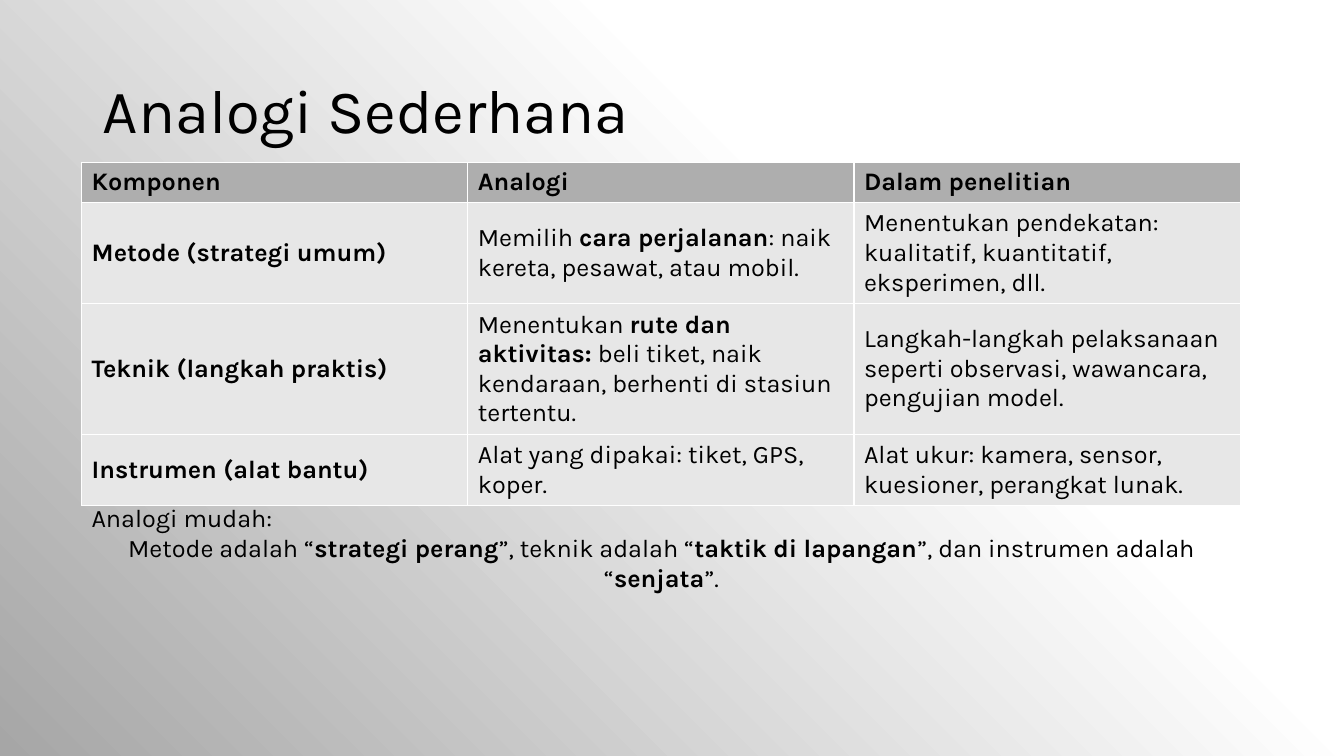
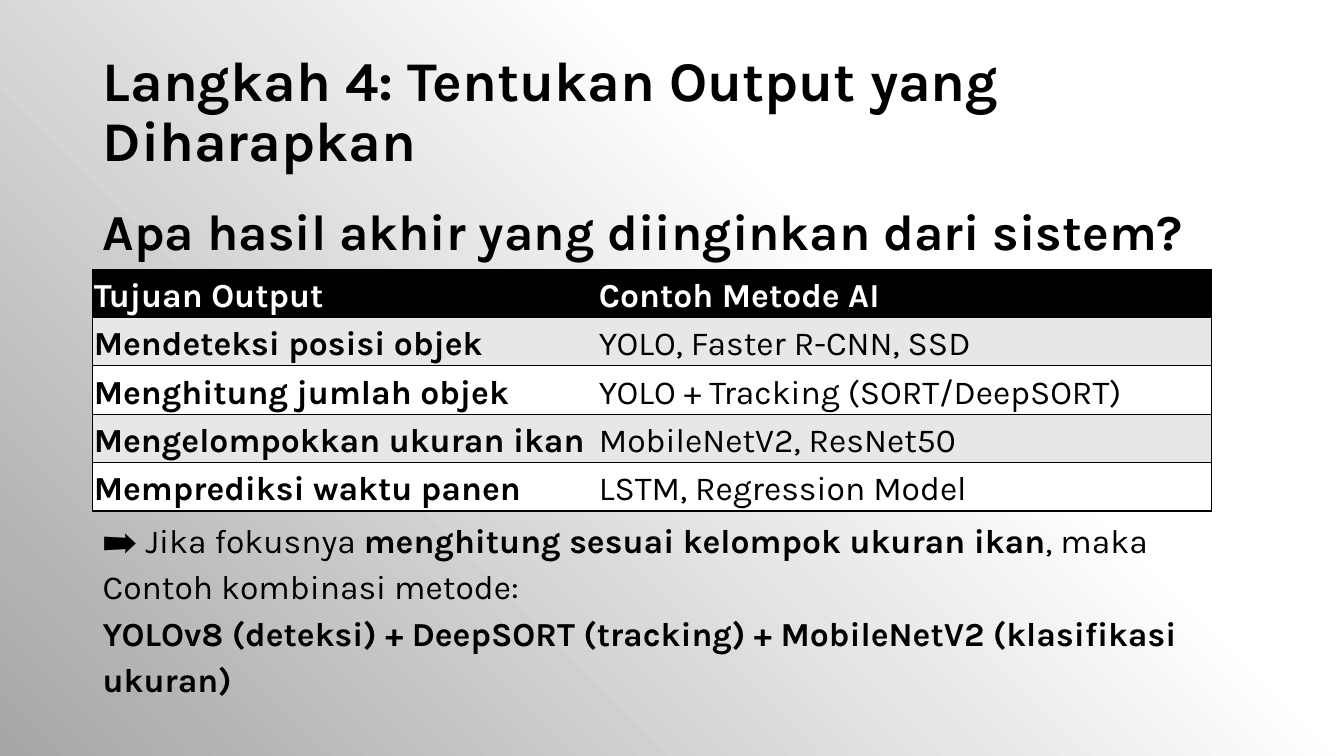
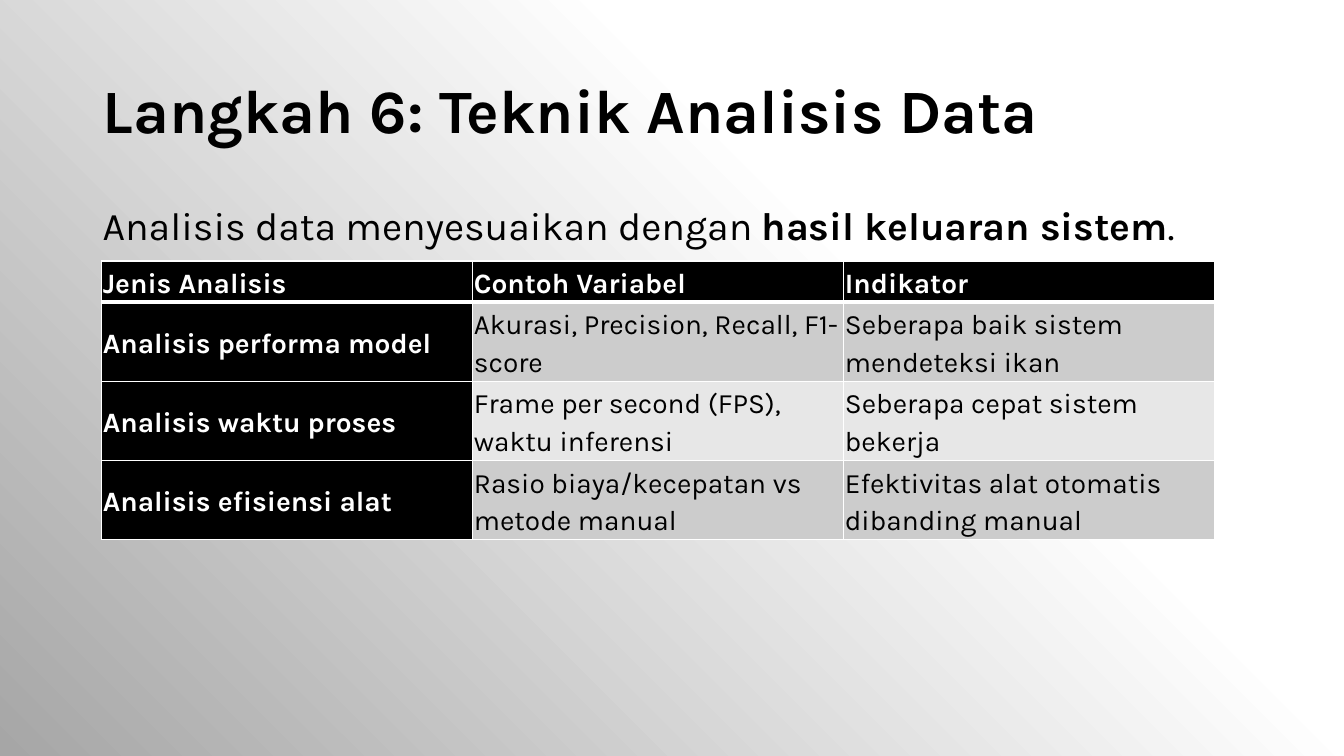
from pptx import Presentation
from pptx.dml.color import RGBColor
from pptx.enum.text import MSO_ANCHOR, PP_ALIGN
from pptx.oxml import parse_xml
from pptx.oxml.ns import nsdecls, qn
from pptx.util import Inches, Pt

MID, TOP = MSO_ANCHOR.MIDDLE, MSO_ANCHOR.TOP
LEFT, CENTER = PP_ALIGN.LEFT, PP_ALIGN.CENTER


class Theme:
    font, icon = "Karla", "Lato"
    black, white = "000000", "FFFFFF"
    head, pale, mid, dusk = "AEAEAE", "E7E7E7", "CCCCCC", "A6A6A6"
    title, tight, lead, intro = 44, 40, 36, 28
    large, small, base = 24, 20, 18


ARROW = "➡️"
TITLE = (0.92, 0.4, 11.5, 1.45)
FLUSH = {"margin_left": 0.01, "margin_right": 0.01, "margin_top": 0.01, "margin_bottom": 0.01}

SLIDES = [
    {
        "title": ("**no**Analogi Sederhana"[6:], Theme.title),
        "table": {
            "at": (0.81, 1.61), "cols": [3.83] * 3, "rows": [0.39, 0.98, 1.28, 0.68],
            "size": Theme.base, "fill": Theme.head, "ink": Theme.black,
            "bands": [Theme.pale], "side": False, "line": Theme.white,
            "inner": True, "rule": 1, "pad": {}, "para": {},
            "cells": [
                ("Komponen", "Analogi", "Dalam penelitian"),
                ("Metode (strategi umum)",
                 "Memilih **cara perjalanan**: naik kereta, pesawat, atau mobil.",
                 "Menentukan pendekatan: kualitatif, kuantitatif, eksperimen, dll."),
                ("Teknik (langkah praktis)",
                 "Menentukan **rute dan aktivitas:** beli tiket, naik kendaraan, berhenti di stasiun tertentu.",
                 "Langkah-langkah pelaksanaan seperti observasi, wawancara, pengujian model."),
                ("Instrumen (alat bantu)", "Alat yang dipakai: tiket, GPS, koper.",
                 "Alat ukur: kamera, sensor, kuesioner, perangkat lunak."),
            ],
        },
        "texts": [
            {"at": (0.81, 4.93, 11.5, 0.71), "size": Theme.base, "space": 1.0, "lines": [
                ("Analogi mudah:", LEFT),
                ("Metode adalah “**strategi perang**”, teknik adalah “**taktik di lapangan**”, "
                 "dan instrumen adalah “**senjata**”.", CENTER),
            ]},
        ],
    },
    {
        "title": ("**Langkah 4: Tentukan Output yang Diharapkan**", Theme.tight),
        "table": {
            "at": (0.92, 2.67), "cols": [5.01, 6.09], "rows": [0.46] * 5,
            "size": Theme.large, "fill": Theme.black, "ink": Theme.white,
            "bands": [Theme.pale, Theme.white], "side": False, "line": Theme.black,
            "inner": False, "rule": 1, "pad": FLUSH,
            "para": {"line_spacing": 1.15, "space_after": Pt(8)},
            "cells": [
                ("Tujuan Output", "Contoh Metode AI"),
                ("Mendeteksi posisi objek", "YOLO, Faster R-CNN, SSD"),
                ("Menghitung jumlah objek", "YOLO + Tracking (SORT/DeepSORT)"),
                ("Mengelompokkan ukuran ikan", "MobileNetV2, ResNet50"),
                ("Memprediksi waktu panen", "LSTM, Regression Model"),
            ],
        },
        "texts": [
            {"at": (0.92, 2, 11.5, 0.84), "size": Theme.lead, "space": 0.9, "lines": [
                ("**Apa hasil akhir yang diinginkan dari sistem?**", LEFT),
            ]},
            {"at": (0.92, 5.05, 11.17, 1.94), "size": Theme.large, "space": 1.15, "lines": [
                (ARROW + "**** Jika fokusnya **menghitung sesuai kelompok ukuran ikan**, "
                 "maka Contoh kombinasi metode:", LEFT),
                ("**YOLOv8 (deteksi) + DeepSORT (tracking) + MobileNetV2 (klasifikasi ukuran)**", LEFT),
            ]},
        ],
    },
    {
        "title": ("**Langkah 6: Teknik Analisis Data**", Theme.title),
        "table": {
            "at": (1.01, 2.59), "cols": [3.68] * 3, "rows": [0.38] + [0.77] * 3,
            "size": Theme.small, "fill": Theme.black, "ink": Theme.white,
            "bands": [Theme.mid, Theme.pale], "side": True, "line": Theme.white,
            "inner": True, "rule": 3, "pad": FLUSH,
            "para": {"line_spacing": 1.15, "space_after": Pt(8)},
            "cells": [
                ("Jenis Analisis", "Contoh Variabel", "Indikator"),
                ("Analisis performa model", "Akurasi, Precision, Recall, F1-score",
                 "Seberapa baik sistem mendeteksi ikan"),
                ("Analisis waktu proses", "Frame per second (FPS), waktu inferensi",
                 "Seberapa cepat sistem bekerja"),
                ("Analisis efisiensi alat", "Rasio biaya/kecepatan vs metode manual",
                 "Efektivitas alat otomatis dibanding manual"),
            ],
        },
        "texts": [
            {"at": (0.92, 2, 11.5, 0.7), "size": Theme.intro, "space": 0.9, "lines": [
                ("Analisis data menyesuaikan dengan **hasil keluaran sistem**.", LEFT),
            ]},
        ],
    },
]
SLIDES[0]["title"] = ("Analogi Sederhana", Theme.title)


def apply(item, values):
    for name, value in values.items():
        setattr(item, name, value)


def write(para, text, size, ink, form):
    apply(para, form)
    for i, part in enumerate(text.split("**")):
        if part:
            run = para.add_run()
            run.text = part
            face = Theme.icon if part == ARROW else Theme.font
            apply(run.font, {"name": face, "size": Pt(size), "bold": i % 2 == 1})
            run.font.color.rgb = RGBColor.from_string(ink)


def add_text(slide, at, lines, size, space, anchor=TOP):
    frame = slide.shapes.add_textbox(*map(Inches, at)).text_frame
    apply(frame, {"word_wrap": True, "vertical_anchor": anchor})
    for i, (text, align) in enumerate(lines):
        para = frame.add_paragraph() if i else frame.paragraphs[0]
        write(para, text, size, Theme.black, {"line_spacing": space, "alignment": align})


def add_edge(cell, side, width, color):
    paint = f'<a:solidFill><a:srgbClr val="{color}"/></a:solidFill>' if width else "<a:noFill/>"
    cell._tc.get_or_add_tcPr().append(parse_xml(
        f'<a:ln{side} {nsdecls("a")} w="{Pt(width)}">{paint}</a:ln{side}>'))


def add_grid(slide, spec):
    cols, rows = spec["cols"], spec["rows"]
    box = (*spec["at"], sum(cols), sum(rows))
    grid = slide.shapes.add_table(len(rows), len(cols), *map(Inches, box)).table
    for col, width in zip(grid.columns, cols):
        col.width = Inches(width)
    for row, height in zip(grid.rows, rows):
        row.height = Inches(height)
    for r, line in enumerate(spec["cells"]):
        for c, text in enumerate(line):
            cell = grid.cell(r, c)
            head = r == 0 or (spec["side"] and c == 0)
            edges = {
                "L": 1 if spec["inner"] or c == 0 else 0,
                "R": 1 if spec["inner"] or c == len(cols) - 1 else 0,
                "T": spec["rule"] if r == 1 else 1,
                "B": spec["rule"] if r == 0 else 1,
            }
            for side, width in edges.items():
                add_edge(cell, side, width, spec["line"])
            bands = spec["bands"]
            cell.fill.solid()
            cell.fill.fore_color.rgb = RGBColor.from_string(
                spec["fill"] if head else bands[(r - 1) % len(bands)])
            apply(cell, {"vertical_anchor": MID})
            apply(cell, {name: Inches(pad) for name, pad in spec["pad"].items()})
            if r == 0 or c == 0:
                text = f"**{text}**"
            ink = spec["ink"] if head else Theme.black
            write(cell.text_frame.paragraphs[0], text, spec["size"], ink, spec["para"])


def set_back(master):
    master.background.fill.solid()
    back = master.element.find(".//" + qn("p:bgPr"))
    stops = "".join(
        f'<a:gs pos="{pos * 1000}"><a:srgbClr val="{color}"/></a:gs>'
        for pos, color in [(0, Theme.white), (35, Theme.white), (100, Theme.dusk)])
    back.replace(back[0], parse_xml(
        f'<a:gradFill {nsdecls("a")}><a:gsLst>{stops}</a:gsLst><a:path path="circle">'
        '<a:fillToRect l="100000" b="100000"/></a:path></a:gradFill>'))


def main():
    deck = Presentation()
    apply(deck, {"slide_width": Inches(13.33), "slide_height": Inches(7.5)})
    set_back(deck.slide_master)
    for page in SLIDES:
        slide = deck.slides.add_slide(deck.slide_layouts[6])
        title, size = page["title"]
        add_text(slide, TITLE, [(title, LEFT)], size, 0.9, MID)
        add_grid(slide, page["table"])
        for text in page["texts"]:
            add_text(slide, **text)
    deck.save("out.pptx")


if __name__ == "__main__":
    main()
